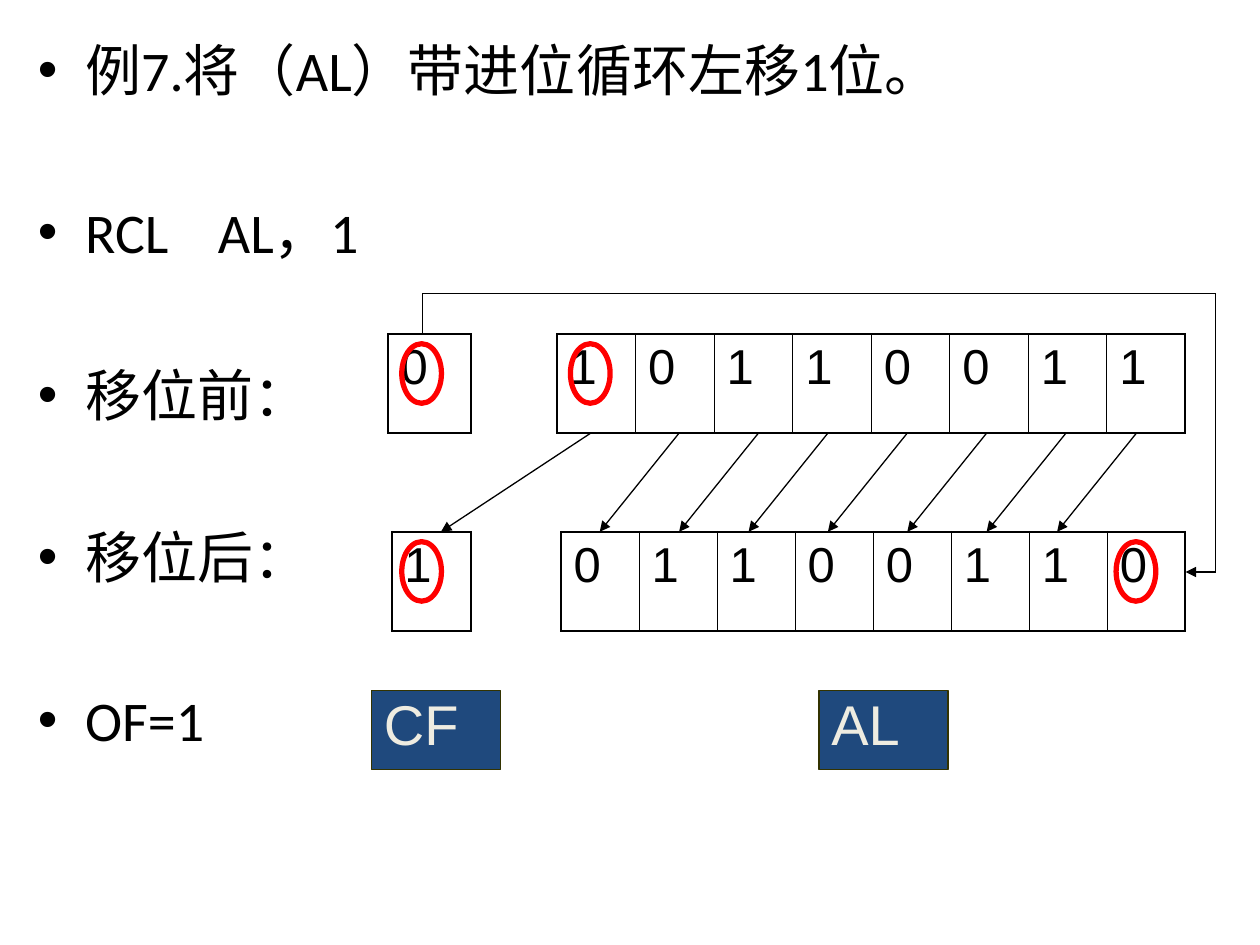
from dataclasses import dataclass
from itertools import pairwise

from lxml.etree import SubElement
from pptx import Presentation
from pptx.dml.color import RGBColor
from pptx.enum.shapes import MSO_CONNECTOR, MSO_SHAPE
from pptx.enum.text import MSO_ANCHOR, MSO_AUTO_SIZE, PP_ALIGN
from pptx.oxml import parse_xml
from pptx.oxml.ns import nsdecls, qn
from pptx.util import Cm, Pt


@dataclass(frozen=True)
class Theme:
    ink: RGBColor = RGBColor(0x00, 0x00, 0x00)
    mark: RGBColor = RGBColor(0xFF, 0x00, 0x00)
    label_fill: RGBColor = RGBColor(0x1F, 0x49, 0x7D)
    label_line: RGBColor = RGBColor(0x33, 0x33, 0x00)
    label_text: RGBColor = RGBColor(0xEE, 0xEC, 0xE1)
    body_font: str = "Calibri"
    diagram_font: str = "Arial"
    body_size: Pt = Pt(32)
    bit_size: Pt = Pt(28)
    thin: Pt = Pt(0.45)
    frame: Pt = Pt(1.08)
    wire: Pt = Pt(0.75)
    ring: Pt = Pt(3)


THEME = Theme()

STEPS = ["例7.将（AL）带进位循环左移1位。", "RCL\tAL，1", "移位前：", "移位后：", "OF=1"]

# Register rows, in cm
ROW_H = 2
BEFORE_Y, AFTER_Y = 6.73, 10.72
BEFORE_BOTTOM = BEFORE_Y + ROW_H
AL_RIGHT = 23.9
REGISTERS = [  # bits, left, top, width
    ("10110011", 11.23, BEFORE_Y, 12.67),
    ("0", 7.82, BEFORE_Y, 1.68),
    ("1", 7.9, AFTER_Y, 1.6),
    ("01100110", 11.31, AFTER_Y, 12.59),
]
LABELS = [("CF", 7.49), ("AL", 16.51)]
RINGS = [(22.5, AFTER_Y), (11.5, BEFORE_Y), (8.1, AFTER_Y), (8.1, BEFORE_Y)]

# Shift arrows and the carry loop, in cm
CARRY_OUT = (11.91, 8.89)
SHIFT_STARTS = [13.69, 15.29, 16.69, 18.29, 19.89, 21.49, 22.91]
SHIFT_DX = 1.6
CARRY_LOOP = [(8.51, BEFORE_Y), (8.51, 5.92), (24.51, 5.92),
              (24.51, 11.53), (AL_RIGHT, 11.53)]


def style_font(font, name, size, color):
    font.name, font.size = name, size
    font.color.rgb = color


def add_steps(s):
    sp = s.placeholders[1]
    sp.left, sp.top, sp.width, sp.height = Cm(0.51), Cm(0.53), Cm(24.41), Cm(18)
    tf = sp.text_frame
    tf.auto_size = MSO_AUTO_SIZE.NONE
    for i, text in enumerate(STEPS):
        p = tf.paragraphs[0] if i == 0 else tf.add_paragraph()
        p.text = text
        p.line_spacing, p.space_before, p.space_after = Pt(40), Pt(0), Pt(52.8)
        style_font(p.font, THEME.body_font, THEME.body_size, THEME.ink)
        if "\t" in text:
            tabs = SubElement(p._p.get_or_add_pPr(), qn("a:tabLst"))
            SubElement(tabs, qn("a:tab"), pos=str(Cm(3.63)), algn="l")


def set_borders(cell, widths):
    """Draw the left, right, top and bottom borders, in that order."""
    tc_pr = cell._tc.get_or_add_tcPr()
    for i, (side, width) in enumerate(zip("LRTB", widths)):
        tc_pr.insert(i, parse_xml(
            f'<a:ln{side} {nsdecls("a")} w="{int(width)}"><a:solidFill>'
            f'<a:srgbClr val="{THEME.ink}"/></a:solidFill></a:ln{side}>'))


def add_register(s, bits, left, top, width):
    table = s.shapes.add_table(1, len(bits), Cm(left), Cm(top),
                               Cm(width), Cm(ROW_H)).table
    table.first_row = table.horz_banding = False
    last = len(bits) - 1
    for i, bit in enumerate(bits):
        table.columns[i].width = Cm(width / len(bits))
        cell = table.cell(0, i)
        cell.fill.background()
        cell.text = bit
        p = cell.text_frame.paragraphs[0]
        p.space_before = Pt(7)
        style_font(p.font, THEME.diagram_font, THEME.bit_size, THEME.ink)
        set_borders(cell, (THEME.frame if i == 0 else THEME.thin,
                           THEME.frame if i == last else THEME.thin,
                           THEME.frame, THEME.frame))


def add_label(s, text, left):
    sp = s.shapes.add_shape(MSO_SHAPE.RECTANGLE, Cm(left), Cm(13.92), Cm(2.6), Cm(1.6))
    sp.shadow.inherit = False
    sp.fill.solid()
    sp.fill.fore_color.rgb = THEME.label_fill
    sp.line.color.rgb = THEME.label_line
    sp.line.width = THEME.wire
    tf = sp.text_frame
    tf.vertical_anchor = MSO_ANCHOR.TOP
    p = tf.paragraphs[0]
    p.text = text
    p.alignment = PP_ALIGN.LEFT
    p.line_spacing = 0.9
    style_font(p.font, THEME.diagram_font, THEME.body_size, THEME.label_text)


def add_ring(s, left, row_top):
    sp = s.shapes.add_shape(MSO_SHAPE.OVAL, Cm(left), Cm(row_top + 0.2), Cm(0.8), Cm(1.2))
    sp.shadow.inherit = False
    sp.fill.background()
    sp.line.color.rgb = THEME.mark
    sp.line.width = THEME.ring


def add_wire(s, start, end, arrow=True):
    line = s.shapes.add_connector(MSO_CONNECTOR.STRAIGHT, *map(Cm, start), *map(Cm, end))
    line.line.color.rgb = THEME.ink
    line.line.width = THEME.wire
    if arrow:
        SubElement(line.line._get_or_add_ln(), qn("a:tailEnd"), type="triangle")
    SubElement(line._element.spPr, qn("a:effectLst"))


def add_shift_arrows(s):
    pairs = [CARRY_OUT] + [(x, x - SHIFT_DX) for x in SHIFT_STARTS]
    for x1, x2 in pairs:
        add_wire(s, (x1, BEFORE_BOTTOM), (x2, AFTER_Y))


def add_carry_loop(s):
    for start, end in pairwise(CARRY_LOOP):
        add_wire(s, start, end, arrow=end == CARRY_LOOP[-1])


def main():
    prs = Presentation()
    prs.slide_width, prs.slide_height = Cm(25.4), Cm(19.05)
    s = prs.slides.add_slide(prs.slide_layouts[1])
    title = s.shapes.title._element
    title.getparent().remove(title)

    add_steps(s)
    for register in REGISTERS:
        add_register(s, *register)
    for label in LABELS:
        add_label(s, *label)
    for ring in RINGS:
        add_ring(s, *ring)
    add_shift_arrows(s)
    add_carry_loop(s)
    prs.save("out.pptx")


if __name__ == "__main__":
    main()
